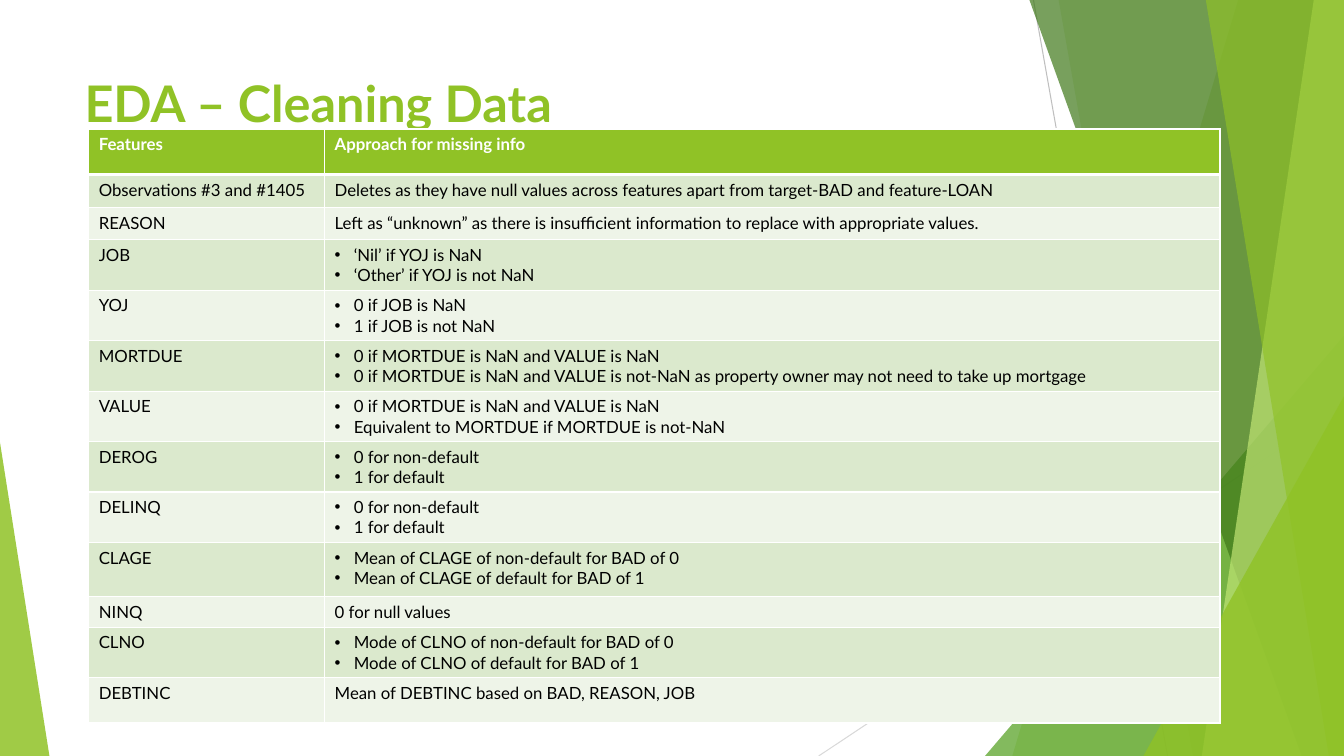
import pptx
import pptx.util
import pptx.dml.color
import pptx.enum.shapes
import pptx.enum.text
import pptx.oxml
import pptx.oxml.ns
from lxml import etree

Inches = pptx.util.Inches
Pt = pptx.util.Pt
RGBColor = pptx.dml.color.RGBColor
qn = pptx.oxml.ns.qn

LIME = RGBColor(0x90, 0xC2, 0x26)
GREEN = RGBColor(0x54, 0xA0, 0x21)
DARK_GREEN = RGBColor(0x3F, 0x78, 0x19)
PALE_LIME = RGBColor(0xC0, 0xE4, 0x74)
BAND_DARK = RGBColor(0xDB, 0xE9, 0xCD)
BAND_LIGHT = RGBColor(0xEE, 0xF4, 0xE8)
GREY = RGBColor(0xBF, 0xBF, 0xBF)
LIGHT_GREY = RGBColor(0xD9, 0xD9, 0xD9)
WHITE = RGBColor(0xFF, 0xFF, 0xFF)
BLACK = RGBColor(0, 0, 0)
FONT = "Lato"
WIDTH, HEIGHT = 13.33, 7.5

ROWS = [
    (0.45, "Features", ["Approach for missing info"]),
    (0.33, "Observations #3 and #1405",
     ["Deletes as they have null values across features apart from target-BAD and feature-LOAN"]),
    (0.32, "REASON",
     ["Left as “unknown” as there is insufficient information to replace with appropriate values."]),
    (0.5, "JOB", ["‘Nil’ if YOJ is NaN", "‘Other’ if YOJ is not NaN"]),
    (0.5, "YOJ", ["0 if JOB is NaN", "1 if JOB is not NaN"]),
    (0.5, "MORTDUE",
     ["0 if MORTDUE is NaN and VALUE is NaN",
      "0 if MORTDUE is NaN and VALUE is not-NaN as property owner may not need to take up mortgage"]),
    (0.5, "VALUE",
     ["0 if MORTDUE is NaN and VALUE is NaN", "Equivalent to MORTDUE if MORTDUE is not-NaN"]),
    (0.5, "DEROG", ["0 for non-default", "1 for default"]),
    (0.5, "DELINQ", ["0 for non-default", "1 for default"]),
    (0.54, "CLAGE",
     ["Mean of CLAGE of non-default for BAD of 0", "Mean of CLAGE of default for BAD of 1"]),
    (0.3, "NINQ", ["0 for null values"]),
    (0.5, "CLNO",
     ["Mode of CLNO of non-default for BAD of 0", "Mode of CLNO of default for BAD of 1"]),
    (0.45, "DEBTINC", ["Mean of DEBTINC based on BAD, REASON, JOB"]),
]


def paint(sp, color, opacity):
    """Fill a shape with a translucent colour, without outline or shadow."""
    sp.shadow.inherit = False
    sp.line.fill.background()
    sp.fill.solid()
    sp.fill.fore_color.rgb = color
    clr = sp.fill._xPr.find(qn("a:solidFill"))[0]
    etree.SubElement(clr, qn("a:alpha"), val=str(opacity * 1000))


def add_line(s, x1, y1, x2, y2, color):
    """Draw a thin straight line."""
    line = s.shapes.add_connector(pptx.enum.shapes.MSO_CONNECTOR.STRAIGHT,
                                  Inches(x1), Inches(y1), Inches(x2), Inches(y2))
    line.line.color.rgb = color
    line.line.width = Pt(0.75)
    etree.SubElement(line._element.spPr, qn("a:effectLst"))


def add_band(s, right, bottom, top_x, bottom_x, color, opacity):
    """Draw a full-height band with a slanted left edge."""
    fb = s.shapes.build_freeform(Inches(top_x), 0)
    fb.add_line_segments([(Inches(x), Inches(y)) for x, y in
                          ((right, 0), (right, bottom), (bottom_x, bottom))], close=True)
    paint(fb.convert_to_shape(), color, opacity)


def add_triangle(s, left, bottom, width, height, apex, color, opacity):
    """Draw a triangle standing on the bottom edge."""
    sp = s.shapes.add_shape(pptx.enum.shapes.MSO_SHAPE.ISOSCELES_TRIANGLE, Inches(left),
                            Inches(bottom - height), Inches(width), Inches(height))
    sp.adjustments[0] = apex
    paint(sp, color, opacity)


def add_facets(s, right, bottom):
    """Draw the green facets along the slide's sides."""
    add_line(s, 10.25, 0, 11.58, bottom, GREY)
    add_line(s, right, 4.03, 8.12, bottom, LIGHT_GREY)
    add_band(s, right, bottom, 12.28, 10.04, LIME, 30)
    add_band(s, right, bottom, 10.5, 11.83, LIME, 20)
    add_triangle(s, right - 3.56, bottom, 3.56, 4.17, 1, GREEN, 72)
    for top_x, bottom_x, color, opacity in ((10.21, 12.91, DARK_GREEN, 70),
                                            (13.03, 11.92, PALE_LIME, 70),
                                            (11.96, 13.18, LIME, 65)):
        add_band(s, right, bottom, top_x, bottom_x, color, opacity)
    add_triangle(s, right - 1.99, bottom, 1.99, 3.57, 1, LIME, 80)
    add_triangle(s, 0, bottom, 0.49, 3.11, 0, LIME, 85)


def format_runs(p, size, color, bold):
    """Set the font of every run in a paragraph."""
    for r in p.runs:
        r.font.name = FONT
        r.font.size = Pt(size)
        r.font.bold = bold
        r.font.color.rgb = color


def add_title(s, left, top, width, height):
    """Add the slide title."""
    tf = s.shapes.add_textbox(Inches(left), Inches(top), Inches(width), Inches(height)).text_frame
    tf.word_wrap = True
    tf.vertical_anchor = pptx.enum.text.MSO_ANCHOR.TOP
    tf.text = "EDA – Cleaning Data"
    format_runs(tf.paragraphs[0], 36, LIME, True)


def add_bullet(p):
    """Give a paragraph a hanging bullet."""
    pPr = p._p.get_or_add_pPr()
    pPr.set("marL", str(Inches(0.19)))
    pPr.set("indent", str(-Inches(0.19)))
    etree.SubElement(pPr, qn("a:buFont"), typeface="Arial")
    etree.SubElement(pPr, qn("a:buChar"), char="•")


def set_borders(cell, top, bottom):
    """Give a cell white borders, with top and bottom widths in points."""
    tcPr = cell._tc.get_or_add_tcPr()
    for i, (tag, width) in enumerate((("lnL", 1), ("lnR", 1), ("lnT", top), ("lnB", bottom))):
        ln = etree.Element(qn("a:" + tag), w=str(Pt(width)))
        fill = etree.SubElement(ln, qn("a:solidFill"))
        etree.SubElement(fill, qn("a:srgbClr"), val=str(WHITE))
        tcPr.insert(i, ln)


def fill_cell(cell, lines, row):
    """Write and style one table cell."""
    header = row == 0
    cell.text_frame.text = "\n".join(lines)
    for p in cell.text_frame.paragraphs:
        format_runs(p, 12, WHITE if header else BLACK, header)
        if len(lines) > 1:
            add_bullet(p)
    cell.fill.solid()
    cell.fill.fore_color.rgb = LIME if header else BAND_DARK if row % 2 else BAND_LIGHT
    set_borders(cell, 3 if row == 1 else 1, 3 if header else 1)


def add_features_table(s, left, top, width):
    """Add the table of features and their missing-value treatment."""
    height = sum(row[0] for row in ROWS)
    table = s.shapes.add_table(len(ROWS), 2, Inches(left), Inches(top),
                               Inches(width), Inches(height)).table
    table.columns[0].width = Inches(2.34)
    table.columns[1].width = Inches(width - 2.34)
    for i, (row_height, feature, approach) in enumerate(ROWS):
        table.rows[i].height = Inches(row_height)
        fill_cell(table.cell(i, 0), [feature], i)
        fill_cell(table.cell(i, 1), approach, i)


def main():
    """Build and save the slide."""
    prs = pptx.Presentation()
    prs.slide_width, prs.slide_height = Inches(WIDTH), Inches(HEIGHT)
    s = prs.slides.add_slide(prs.slide_layouts[6])
    add_facets(s, WIDTH, HEIGHT)
    add_title(s, 0.74, 0.67, 9.4, 1.44)
    add_features_table(s, 0.88, 1.28, 11.22)
    prs.save("out.pptx")


if __name__ == "__main__":
    main()
